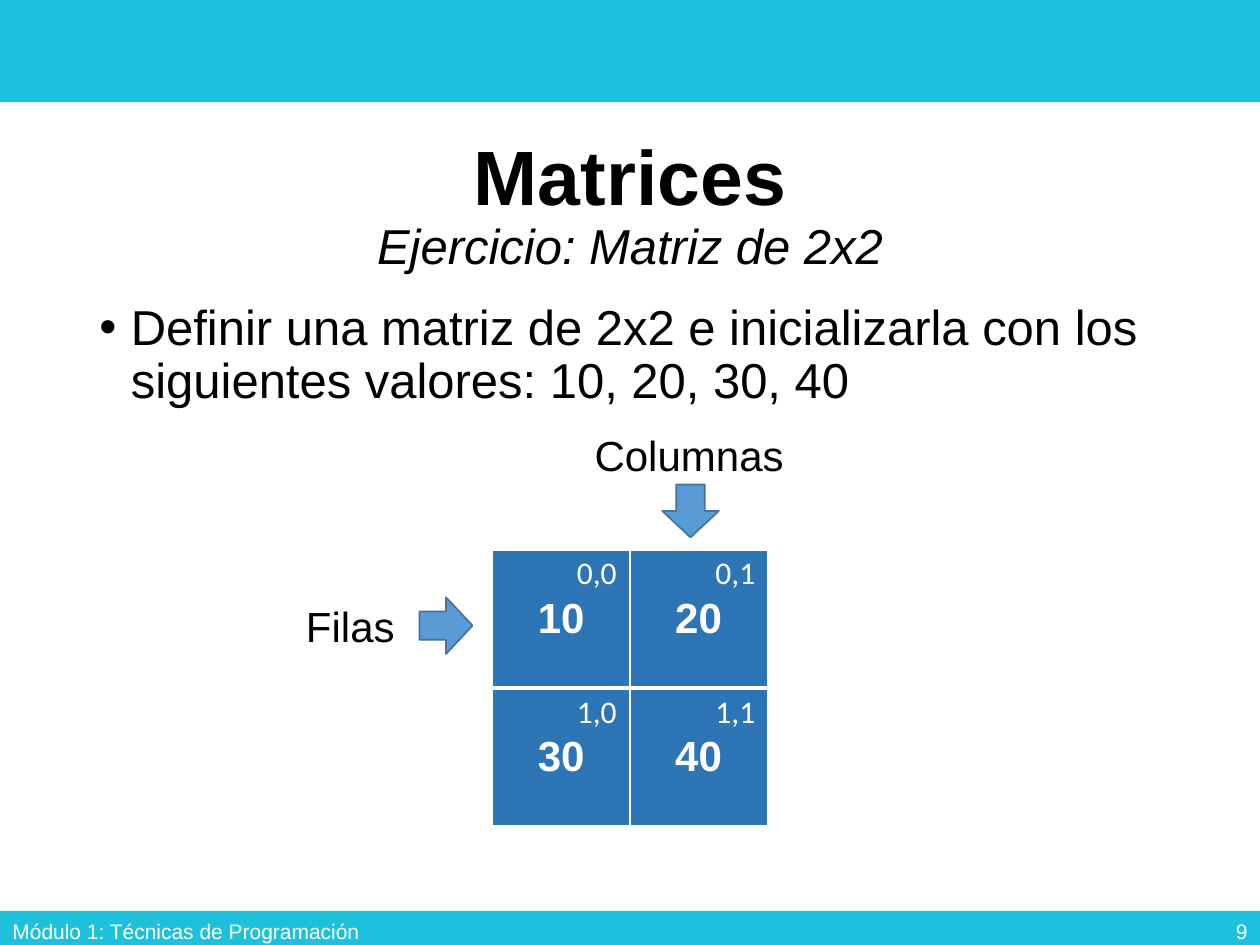
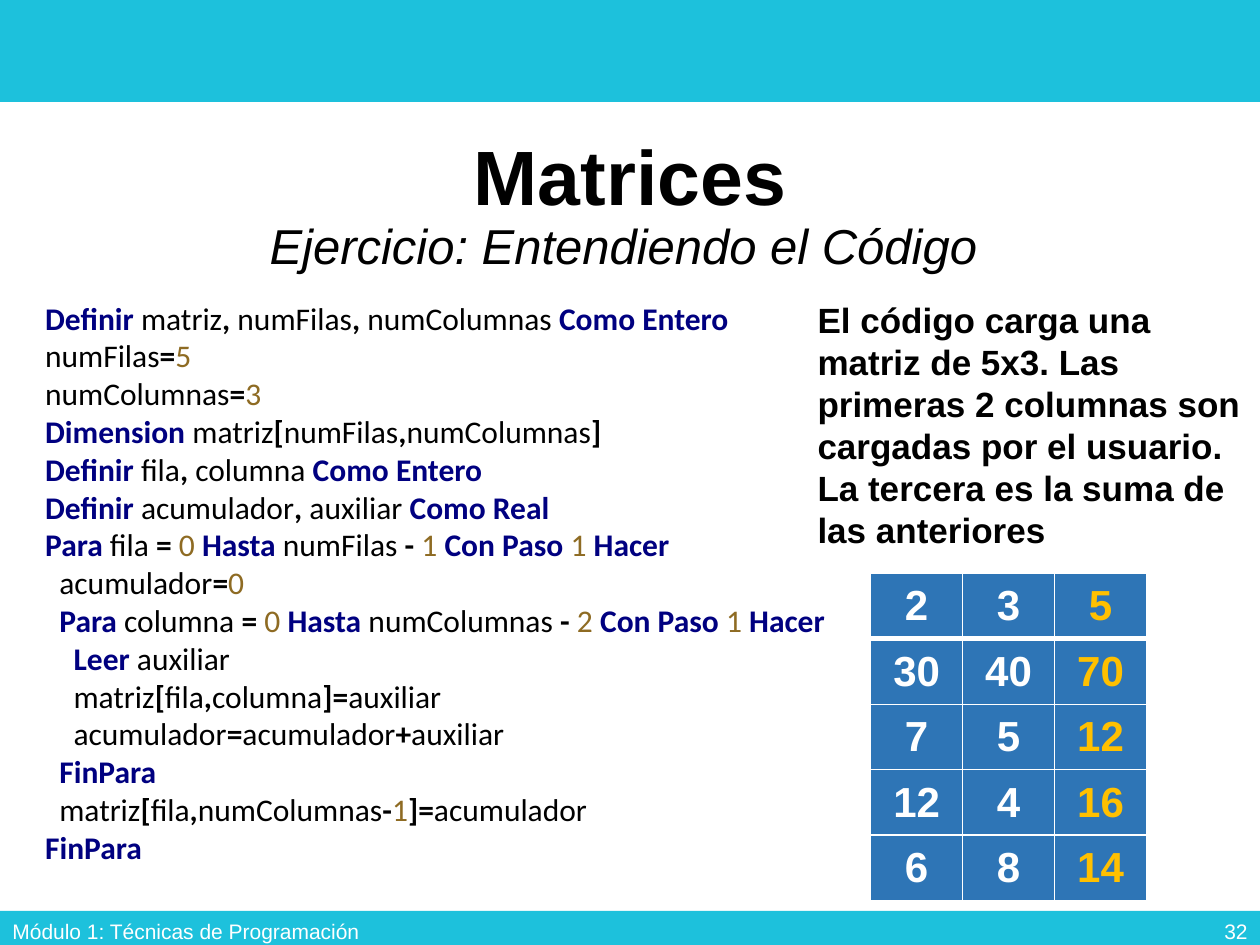
import itertools

import pptx
import pptx.dml.color
import pptx.enum.shapes
import pptx.enum.text
import pptx.oxml
import pptx.oxml.ns
import pptx.util
from pptx.util import Inches

COLORS = {
    "band": "1DC1DC",
    "text": "000000",
    "white": "FFFFFF",
    "cell": "2E75B6",
    "sum": "FFC000",
    "arrow": "5B9BD5",
    "arrow_edge": "43739E",
    "keyword": "000080",
    "number": "8E6B23",
}
ALIGN = pptx.enum.text.PP_ALIGN
ANCHOR = pptx.enum.text.MSO_ANCHOR
SHAPE = pptx.enum.shapes.MSO_SHAPE

FOOTER = "Módulo 1: Técnicas de Programación"
KEYWORDS = {"Definir", "Como", "Entero", "Real", "Dimension", "Para", "Hasta",
            "Con", "Paso", "Hacer", "Leer", "FinPara"}
CODE = """\
Definir matriz, numFilas, numColumnas Como Entero
numFilas=5
numColumnas=3
Dimension matriz[numFilas,numColumnas]
Definir fila, columna Como Entero
Definir acumulador, auxiliar Como Real
Para fila = 0 Hasta numFilas - 1 Con Paso 1 Hacer
  acumulador=0
  Para columna = 0 Hasta numColumnas - 2 Con Paso 1 Hacer
    Leer auxiliar
    matriz[fila,columna]=auxiliar
    acumulador=acumulador+auxiliar
  FinPara
  matriz[fila,numColumnas-1]=acumulador
FinPara"""


def rgb(key):
    return pptx.dml.color.RGBColor.from_string(COLORS[key])


def style(font, size, color="text", name="Arial", bold=False, italic=False):
    font.size = pptx.util.Pt(size)
    font.color.rgb = rgb(color)
    font.name = name
    font.bold = bold
    font.italic = italic


def add_box(slide, left, top, width, height, wrap=True, anchor=ANCHOR.TOP):
    frame = slide.shapes.add_textbox(
        Inches(left), Inches(top), Inches(width), Inches(height)).text_frame
    frame.word_wrap = wrap
    frame.vertical_anchor = anchor
    return frame


def add_text(slide, text, left, top, width, height, size, align=ALIGN.LEFT,
             wrap=True, anchor=ANCHOR.TOP, **font):
    paragraph = add_box(slide, left, top, width, height, wrap, anchor).paragraphs[0]
    paragraph.text = text
    paragraph.alignment = align
    style(paragraph.font, size, **font)


def add_preset(slide, kind, left, top, width, height, fill, line=None):
    shape = slide.shapes.add_shape(
        kind, Inches(left), Inches(top), Inches(width), Inches(height))
    shape.shadow.inherit = False
    shape.fill.solid()
    shape.fill.fore_color.rgb = rgb(fill)
    if line:
        shape.line.color.rgb = rgb(line)
        shape.line.width = pptx.util.Pt(1)
    else:
        shape.line.fill.background()
    return shape


def add_base_slide(deck, subtitle, number):
    """Slide with bands, two-line title and footer."""
    slide = deck.slides.add_slide(deck.slide_layouts[5])
    for top, height in ((0, 0.81), (7.23, 0.27)):
        add_preset(slide, SHAPE.RECTANGLE, 0, top, 10, height, "band")

    title = slide.shapes.title
    title.left, title.top = Inches(0.69), Inches(0.98)
    title.width, title.height = Inches(8.62), Inches(1.33)
    title.text_frame.vertical_anchor = ANCHOR.MIDDLE
    title.text_frame.auto_size = pptx.enum.text.MSO_AUTO_SIZE.NONE
    heading = title.text_frame.paragraphs[0]
    heading.alignment = ALIGN.CENTER
    heading.line_spacing = 0.9
    topic = heading.add_run()
    topic.text = "Matrices"
    style(topic.font, 44, bold=True)
    heading.add_line_break()
    exercise = heading.add_run()
    exercise.text = subtitle
    style(exercise.font, 28, italic=True)

    add_text(slide, FOOTER, 0, 7.19, 3.38, 0.4, 12,
             anchor=ANCHOR.MIDDLE, color="white")
    add_text(slide, str(number), 7.75, 7.19, 2.25, 0.4, 12, ALIGN.RIGHT,
             anchor=ANCHOR.MIDDLE, color="white")
    return slide


def add_bullet(slide, text, left, top, width, height):
    paragraph = add_box(slide, left, top, width, height).paragraphs[0]
    paragraph.text = text
    paragraph.line_spacing = 0.9
    props = paragraph._p.get_or_add_pPr()
    props.set("marL", str(Inches(0.25)))
    props.set("indent", str(Inches(-0.25)))
    namespace = pptx.oxml.ns.nsdecls("a")
    props.append(pptx.oxml.parse_xml(f'<a:buFont {namespace} typeface="Arial"/>'))
    props.append(pptx.oxml.parse_xml(f'<a:buChar {namespace} char="•"/>'))
    style(paragraph.font, 28)


def set_borders(cell, row):
    """White grid with a thicker rule below the first row."""
    widths = {"L": 1, "R": 1, "T": 3 if row == 1 else 1, "B": 3 if row == 0 else 1}
    props = cell._tc.get_or_add_tcPr()
    for side, points in widths.items():
        props.append(pptx.oxml.parse_xml(
            f'<a:ln{side} {pptx.oxml.ns.nsdecls("a")} w="{pptx.util.Pt(points)}">'
            f'<a:solidFill><a:srgbClr val="{COLORS["white"]}"/></a:solidFill>'
            f'</a:ln{side}>'))


def add_matrix(slide, values, left, top, col_width, row_height, sum_column=None):
    rows, cols = len(values), len(values[0])
    matrix = slide.shapes.add_table(
        rows, cols, Inches(left), Inches(top),
        Inches(col_width * cols), Inches(row_height * rows)).table
    for column in matrix.columns:
        column.width = Inches(col_width)
    for r, row_values in enumerate(values):
        matrix.rows[r].height = Inches(row_height)
        for c, value in enumerate(row_values):
            cell = matrix.cell(r, c)
            set_borders(cell, r)
            cell.fill.solid()
            cell.fill.fore_color.rgb = rgb("cell")
            cell.vertical_anchor = ANCHOR.MIDDLE
            paragraph = cell.text_frame.paragraphs[0]
            paragraph.text = str(value)
            paragraph.alignment = ALIGN.CENTER
            style(paragraph.font, 24, "sum" if c == sum_column else "white", bold=True)


def char_class(char):
    return "space" if char.isspace() else "word" if char.isalnum() else "symbol"


def add_code(slide, code, left, top, width, height):
    """Code with coloured keywords and numbers and bold symbols."""
    frame = add_box(slide, left, top, width, height)
    for i, line in enumerate(code.splitlines()):
        paragraph = frame.add_paragraph() if i else frame.paragraphs[0]
        for kind, chars in itertools.groupby(line, char_class):
            token = paragraph.add_run()
            token.text = "".join(chars)
            is_keyword = token.text in KEYWORDS
            color = ("keyword" if is_keyword
                     else "number" if token.text.isdigit() else "text")
            style(token.font, 18, color, "Calibri", is_keyword or kind == "symbol")


def build_definition_slide(deck):
    slide = add_base_slide(deck, "Ejercicio: Matriz de 2x2", 9)
    add_bullet(slide, "Definir una matriz de 2x2 e inicializarla con los "
                      "siguientes valores: 10, 20, 30, 40", 0.69, 2.36, 8.62, 0.95)
    add_matrix(slide, [[10, 20], [30, 40]], 3.91, 4.37, 1.09, 1.09)

    # Index of each cell, in its top right corner
    for row, col in itertools.product(range(2), repeat=2):
        add_text(slide, f"{row},{col}", 4.48 + 1.1 * col, 4.34 + 1.1 * row,
                 0.52, 0.4, 18, wrap=False, color="white", name="Calibri")

    # Labels and arrows for the two directions
    add_text(slide, "Filas", 2.33, 4.72, 0.91, 0.5, 24, wrap=False)
    add_text(slide, "Columnas", 4.62, 3.36, 1.72, 0.5, 24, wrap=False)
    for left, top, angle in ((3.33, 4.74, 0), (5.27, 3.83, 90)):
        arrow = add_preset(slide, SHAPE.RIGHT_ARROW, left, top, 0.42, 0.45,
                           "arrow", "arrow_edge")
        arrow.rotation = angle


def build_code_slide(deck):
    slide = add_base_slide(deck, "Ejercicio: Entendiendo el Código ", 32)
    add_code(slide, CODE, 0.26, 2.32, 7.01, 4.65)
    add_text(slide, "El código carga una matriz de 5x3. Las primeras 2 columnas "
                    "son cargadas por el usuario. La tercera es la suma de las "
                    "anteriores", 6.39, 2.32, 3.6, 2.12, 20, bold=True)
    inputs = [(2, 3), (30, 40), (7, 5), (12, 4), (6, 8)]
    add_matrix(slide, [(a, b, a + b) for a, b in inputs],
               6.91, 4.55, 0.73, 0.52, sum_column=2)


def main():
    deck = pptx.Presentation()
    deck.slide_width, deck.slide_height = Inches(10), Inches(7.5)
    build_definition_slide(deck)
    build_code_slide(deck)
    deck.save("out.pptx")


if __name__ == "__main__":
    main()
